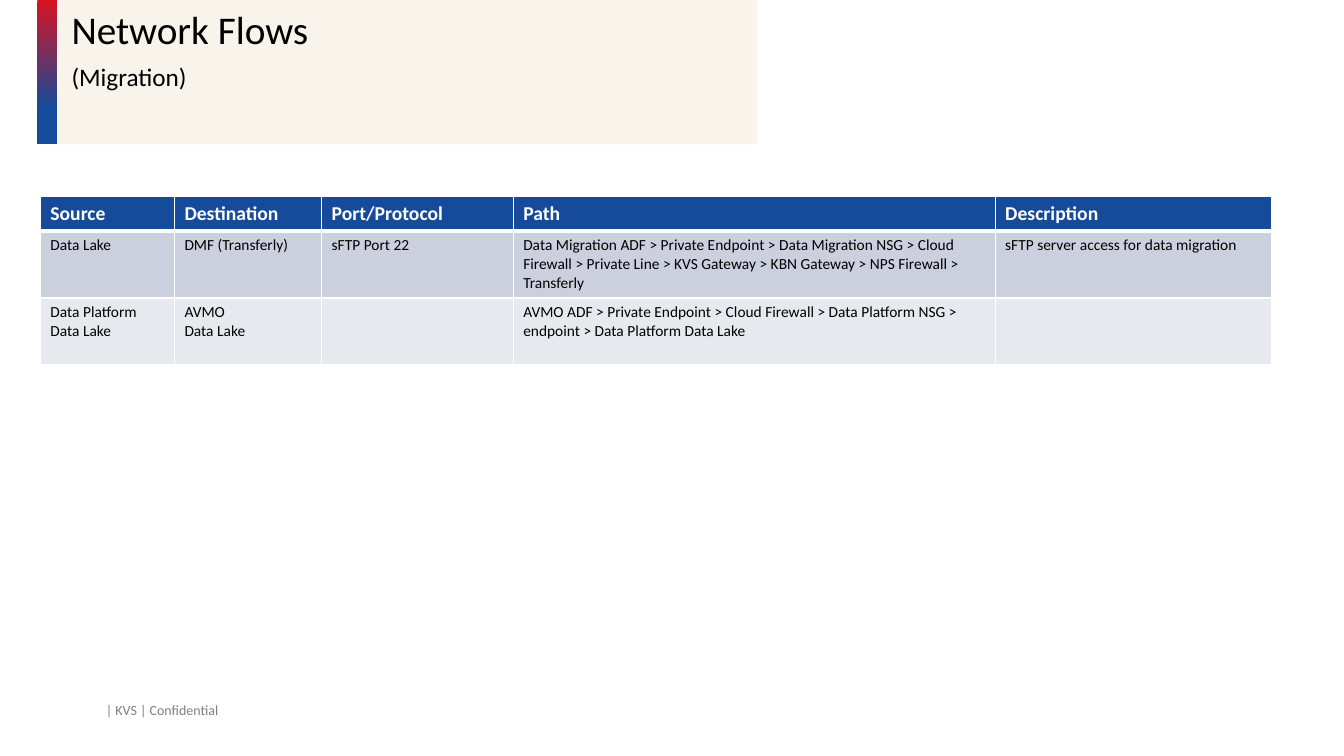
from lxml.etree import SubElement
from pptx import Presentation
from pptx.dml.color import RGBColor
from pptx.enum.shapes import MSO_SHAPE
from pptx.enum.text import MSO_ANCHOR, PP_ALIGN
from pptx.oxml.ns import qn
from pptx.util import Inches, Pt

COLORS = {
    "white": "FFFFFF",
    "black": "000000",
    "gray": "808080",
    "cream": "F8F3EB",
    "red": "D81421",
    "blue": "164A9A",
    "band_dark": "CCD0DE",
    "band_light": "E8E9EF",
}
COLUMN_WIDTHS = [1.33, 1.46, 1.9, 4.78, 2.74]
ROW_HEIGHTS = [0.34, 0.66, 0.66]
ROW_FILLS = ["blue", "band_dark", "band_light"]
FLOWS = [
    ["Source", "Destination", "Port/Protocol", "Path", "Description"],
    [
        "Data Lake",
        "DMF (Transferly)",
        "sFTP Port 22",
        "Data Migration ADF > Private Endpoint > Data Migration NSG > Cloud "
        "Firewall > Private Line > KVS Gateway > KBN Gateway > NPS Firewall > Transferly",
        "sFTP server access for data migration",
    ],
    [
        "Data Platform Data Lake",
        "AVMO\nData Lake",
        "",
        "AVMO ADF > Private Endpoint > Cloud Firewall > Data Platform NSG > "
        "endpoint > Data Platform Data Lake",
        "",
    ],
]


def color(name):
    return RGBColor.from_string(COLORS[name])


def add_run(paragraph, text, size=11, color_name="black", bold=False, font="Calibri"):
    run = paragraph.add_run()
    run.text = text
    run.font.name = font
    run.font.size = Pt(size)
    run.font.bold = bold
    run.font.color.rgb = color(color_name)


class SlideBuilder:
    def __init__(self, presentation):
        self.slide = presentation.slides.add_slide(presentation.slide_layouts[5])

    def place(self, shape, left, top, width, height):
        shape.left, shape.top = Inches(left), Inches(top)
        shape.width, shape.height = Inches(width), Inches(height)

    def prepare_frame(self, frame, anchor):
        frame.word_wrap = True
        frame.vertical_anchor = anchor
        frame.margin_left = frame.margin_right = 0
        frame.margin_top = frame.margin_bottom = 0
        return frame.paragraphs[0]

    def rectangle(self, left, top, width, height, *fill_names):
        shape = self.slide.shapes.add_shape(MSO_SHAPE.RECTANGLE, 0, 0, 0, 0)
        self.place(shape, left, top, width, height)
        shape.shadow.inherit = False
        shape.line.fill.background()
        if len(fill_names) == 1:
            shape.fill.solid()
            shape.fill.fore_color.rgb = color(fill_names[0])
            return
        shape.fill.gradient()
        shape.fill.gradient_angle = 270
        for stop, name, position in zip(shape.fill.gradient_stops, fill_names, (0, 0.75)):
            stop.color.rgb = color(name)
            stop.position = position

    def title(self, heading, subheading, left, top, width, height):
        title = self.slide.shapes.title
        self.place(title, left, top, width, height)
        title.element.getparent().append(title.element)
        paragraph = self.prepare_frame(title.text_frame, MSO_ANCHOR.TOP)
        paragraph.alignment = PP_ALIGN.LEFT
        paragraph.line_spacing = Pt(28)
        add_run(paragraph, heading, size=28)
        paragraph.add_line_break()
        add_run(paragraph, subheading, size=18)

    def footer(self, text, left, top, width, height):
        box = self.slide.shapes.add_textbox(0, 0, 0, 0)
        self.place(box, left, top, width, height)
        paragraph = self.prepare_frame(box.text_frame, MSO_ANCHOR.BOTTOM)
        add_run(paragraph, text, size=10, color_name="gray")

    def border(self, cell, side, width):
        properties = cell._tc.get_or_add_tcPr()
        line = SubElement(properties, qn(f"a:ln{side}"), w=str(Pt(width)))
        fill = SubElement(line, qn("a:solidFill"))
        SubElement(fill, qn("a:srgbClr"), val=COLORS["white"])

    def table(self, rows, left, top):
        frame = self.slide.shapes.add_table(
            len(rows), len(COLUMN_WIDTHS), Inches(left), Inches(top),
            Inches(sum(COLUMN_WIDTHS)), Inches(sum(ROW_HEIGHTS)))
        table = frame.table
        for column, width in zip(table.columns, COLUMN_WIDTHS):
            column.width = Inches(width)
        for row_index, values in enumerate(rows):
            table.rows[row_index].height = Inches(ROW_HEIGHTS[row_index])
            for column_index, text in enumerate(values):
                self.cell(table.cell(row_index, column_index), text, row_index)

    def cell(self, cell, text, row_index):
        header = row_index == 0
        for side in "LRTB":
            thick = (row_index, side) in ((0, "B"), (1, "T"))
            self.border(cell, side, 3 if thick else 1)
        cell.fill.solid()
        cell.fill.fore_color.rgb = color(ROW_FILLS[row_index])
        for index, line in enumerate(text.split("\n")):
            frame = cell.text_frame
            paragraph = frame.add_paragraph() if index else frame.paragraphs[0]
            if not line:
                paragraph.font.size = Pt(11)
                continue
            add_run(paragraph, line, size=14 if header else 11,
                    color_name="white" if header else "black", bold=header)


def main():
    presentation = Presentation()
    presentation.slide_width = Inches(13.33)
    presentation.slide_height = Inches(7.5)
    builder = SlideBuilder(presentation)
    builder.footer("| KVS | Confidential", 1.05, 6.73, 1.52, 0.4)
    builder.rectangle(0.37, 0, 7.14, 1.43, "cream")
    builder.rectangle(0.37, 0, 0.2, 1.43, "red", "blue")
    builder.title("Network Flows", "(Migration)", 0.71, 0.13, 6.3, 0.83)
    builder.table(FLOWS, 0.4, 1.95)
    presentation.save("out.pptx")


if __name__ == "__main__":
    main()
